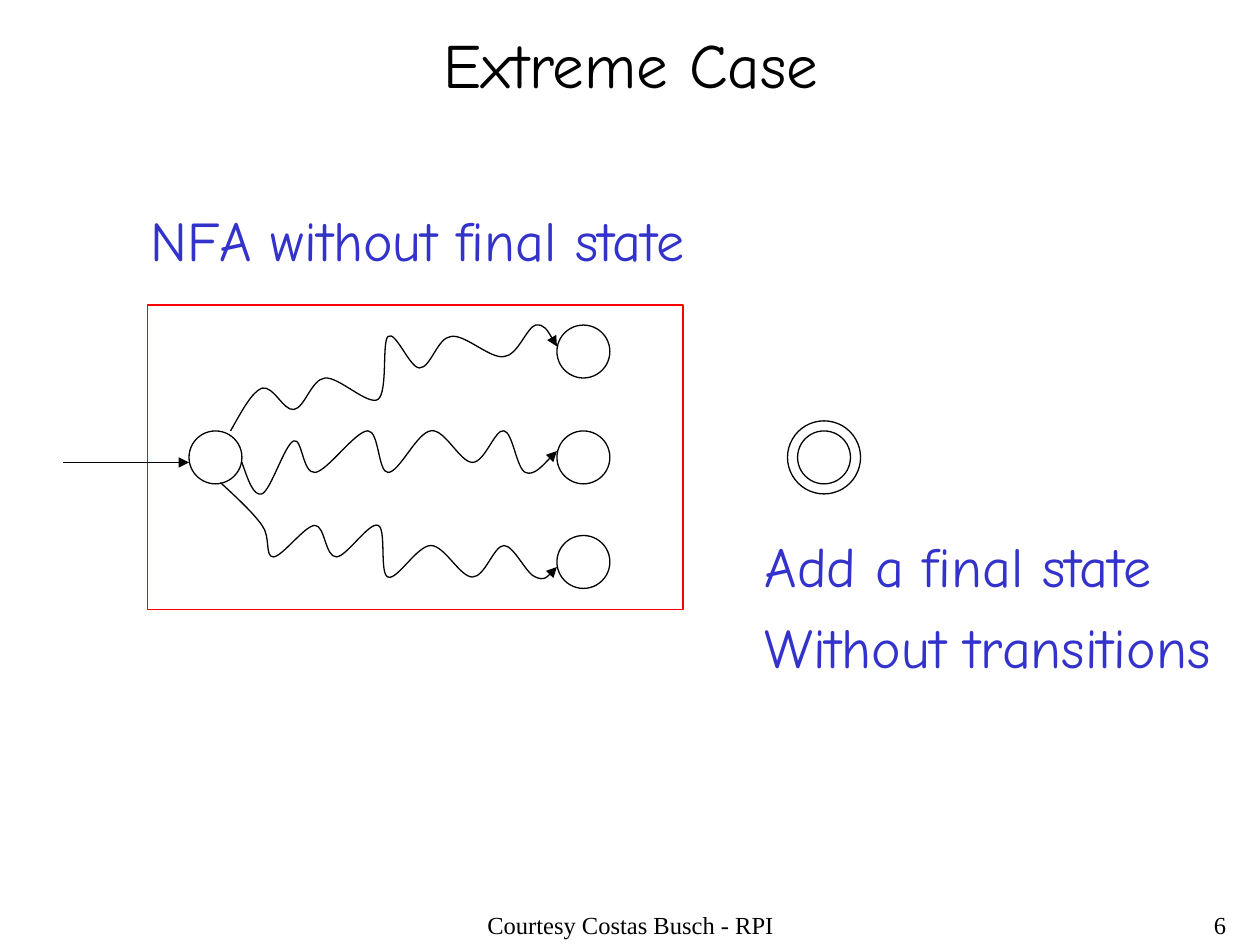
from lxml import etree
from pptx import Presentation
from pptx.dml.color import RGBColor
from pptx.enum.shapes import MSO_CONNECTOR, MSO_SHAPE
from pptx.enum.text import MSO_ANCHOR, MSO_AUTO_SIZE, PP_ALIGN
from pptx.oxml.ns import qn
from pptx.util import Inches, Pt

BLACK = RGBColor(0x00, 0x00, 0x00)
RED = RGBColor(0xFF, 0x00, 0x00)
BLUE = RGBColor(0x33, 0x33, 0xCC)
HEADING_FONT = "Comic Neue"
FOOTER_FONT = "Times New Roman"
OVAL = MSO_SHAPE.OVAL
RECTANGLE = MSO_SHAPE.RECTANGLE
STRAIGHT = MSO_CONNECTOR.STRAIGHT
LEFT, CENTER, RIGHT = PP_ALIGN.LEFT, PP_ALIGN.CENTER, PP_ALIGN.RIGHT
TOP, MIDDLE = MSO_ANCHOR.TOP, MSO_ANCHOR.MIDDLE
FIT_SHAPE, NO_FIT = MSO_AUTO_SIZE.SHAPE_TO_FIT_TEXT, MSO_AUTO_SIZE.NONE

STATE_SIZE = 0.42
STATE_CENTERS = [(1.71, 3.63), (4.63, 2.79), (4.63, 3.63), (4.63, 4.46)]
FINAL_CENTER = (6.54, 3.63)
FINAL_SIZES = [STATE_SIZE, 0.58]

UPPER_PATH = [
    (1.83, 3.42),
    (1.92, 3.26), (2, 3.11), (2.08, 3.08),
    (2.17, 3.06), (2.25, 3.26), (2.33, 3.25),
    (2.42, 3.24), (2.47, 3.01), (2.58, 3),
    (2.69, 2.99), (2.92, 3.22), (3, 3.17),
    (3.08, 3.11), (3.03, 2.71), (3.08, 2.67),
    (3.14, 2.62), (3.25, 2.92), (3.33, 2.92),
    (3.42, 2.92), (3.47, 2.68), (3.58, 2.67),
    (3.69, 2.65), (3.89, 2.85), (4, 2.83),
    (4.11, 2.82), (4.18, 2.6), (4.25, 2.58),
    (4.32, 2.57), (4.37, 2.66), (4.42, 2.75),
]
MIDDLE_PATH = [
    (1.92, 3.67),
    (1.97, 3.81), (2.01, 3.94), (2.08, 3.92),
    (2.15, 3.89), (2.26, 3.53), (2.33, 3.5),
    (2.4, 3.47), (2.4, 3.76), (2.5, 3.75),
    (2.6, 3.74), (2.82, 3.42), (2.92, 3.42),
    (3.01, 3.42), (3, 3.75), (3.08, 3.75),
    (3.17, 3.75), (3.31, 3.43), (3.42, 3.42),
    (3.53, 3.4), (3.65, 3.67), (3.75, 3.67),
    (3.85, 3.67), (3.93, 3.4), (4, 3.42),
    (4.07, 3.43), (4.1, 3.72), (4.17, 3.75),
    (4.24, 3.78), (4.39, 3.61), (4.42, 3.58),
]
LOWER_PATH = [
    (1.75, 3.83),
    (1.88, 3.95), (2.01, 4.07), (2.08, 4.17),
    (2.15, 4.26), (2.1, 4.42), (2.17, 4.42),
    (2.24, 4.42), (2.42, 4.17), (2.5, 4.17),
    (2.58, 4.17), (2.58, 4.42), (2.67, 4.42),
    (2.75, 4.42), (2.93, 4.14), (3, 4.17),
    (3.07, 4.19), (3.01, 4.56), (3.08, 4.58),
    (3.15, 4.61), (3.31, 4.33), (3.42, 4.33),
    (3.53, 4.33), (3.65, 4.58), (3.75, 4.58),
    (3.85, 4.58), (3.92, 4.33), (4, 4.33),
    (4.08, 4.33), (4.18, 4.56), (4.25, 4.58),
    (4.32, 4.61), (4.37, 4.56), (4.42, 4.5),
]


def place(shape, left, top, width, height):
    shape.left, shape.top = Inches(left), Inches(top)
    shape.width, shape.height = Inches(width), Inches(height)


def write(frame, lines, size, font, color, align=LEFT, anchor=TOP, before=0):
    frame.vertical_anchor = anchor
    for index, line in enumerate(lines):
        para = frame.add_paragraph() if index else frame.paragraphs[0]
        para.alignment = align
        para.space_before = Pt(before)
        span = para.add_run()
        span.text = line
        span.font.size = Pt(size)
        span.font.name = font
        span.font.color.rgb = color


def add_title(page, text):
    title = page.shapes.title
    place(title, 0.17, 0.17, 9.67, 0.67)
    title.text_frame.auto_size = NO_FIT
    write(title.text_frame, [text], 36, HEADING_FONT, BLACK, CENTER, MIDDLE)


def add_footer(page, text, left, width, align):
    box = page.shapes.add_textbox(0, 0, 0, 0)
    place(box, left, 7.17, width, 0.33)
    box.text_frame.word_wrap = True
    write(box.text_frame, [text], 14, FOOTER_FONT, BLACK, align)


def add_caption(page, lines, left, top, width, height):
    box = page.shapes.add_textbox(0, 0, 0, 0)
    place(box, left, top, width, height)
    box.text_frame.word_wrap = False
    box.text_frame.auto_size = FIT_SHAPE
    write(box.text_frame, lines, 32, HEADING_FONT, BLUE, before=8)


def add_outline(shapes, kind, left, top, width, height, color):
    shape = shapes.add_shape(
        kind, Inches(left), Inches(top), Inches(width), Inches(height))
    shape.shadow.inherit = False
    shape.fill.background()
    shape.line.color.rgb = color
    shape.line.width = Pt(0.75)


def add_circle(shapes, center, size):
    x, y = center
    add_outline(shapes, OVAL, x - size / 2, y - size / 2, size, size, BLACK)


def style_arrow(shape):
    shape.line.color.rgb = BLACK
    shape.line.width = Pt(0.75)
    etree.SubElement(shape.line._get_or_add_ln(), qn("a:tailEnd"), type="triangle")


def add_start_arrow(page, start, end):
    arrow = page.shapes.add_connector(
        STRAIGHT, *(Inches(value) for value in start + end))
    style_arrow(arrow)
    etree.SubElement(arrow._element.spPr, qn("a:effectLst"))


def add_wavy_arrow(page, points):
    start, *rest = [(Inches(x), Inches(y)) for x, y in points]
    builder = page.shapes.build_freeform(*start)
    builder.add_line_segments(rest, close=False)
    wave = builder.convert_to_shape()
    wave.shadow.inherit = False
    wave.fill.background()
    style_arrow(wave)
    segments = list(wave._element.iter(qn("a:lnTo")))
    outline = segments[0].getparent()
    for first in range(0, len(segments), 3):
        curve = etree.SubElement(outline, qn("a:cubicBezTo"))
        for segment in segments[first:first + 3]:
            curve.append(segment[0])
            outline.remove(segment)


def main():
    deck = Presentation()
    deck.slide_width, deck.slide_height = Inches(10), Inches(7.5)
    page = deck.slides.add_slide(deck.slide_layouts[5])
    add_footer(page, "Courtesy Costas Busch - RPI", 3.42, 3.17, CENTER)
    add_footer(page, "6", 7.75, 2.08, RIGHT)
    add_title(page, "Extreme Case")
    add_outline(page.shapes, RECTANGLE, 1.17, 2.42, 4.25, 2.42, RED)
    for center in STATE_CENTERS:
        add_circle(page.shapes, center, STATE_SIZE)
    add_start_arrow(page, (0.5, 3.67), (1.5, 3.67))
    for points in (UPPER_PATH, MIDDLE_PATH, LOWER_PATH):
        add_wavy_arrow(page, points)
    add_caption(page, ["NFA without final state"], 1.1, 1.58, 4.47, 0.64)
    final_state = page.shapes.add_group_shape()
    for size in FINAL_SIZES:
        add_circle(final_state.shapes, FINAL_CENTER, size)
    add_caption(page, ["Add a final state", "Without transitions"],
                5.97, 4.17, 3.75, 1.28)
    deck.save("out.pptx")


if __name__ == "__main__":
    main()
